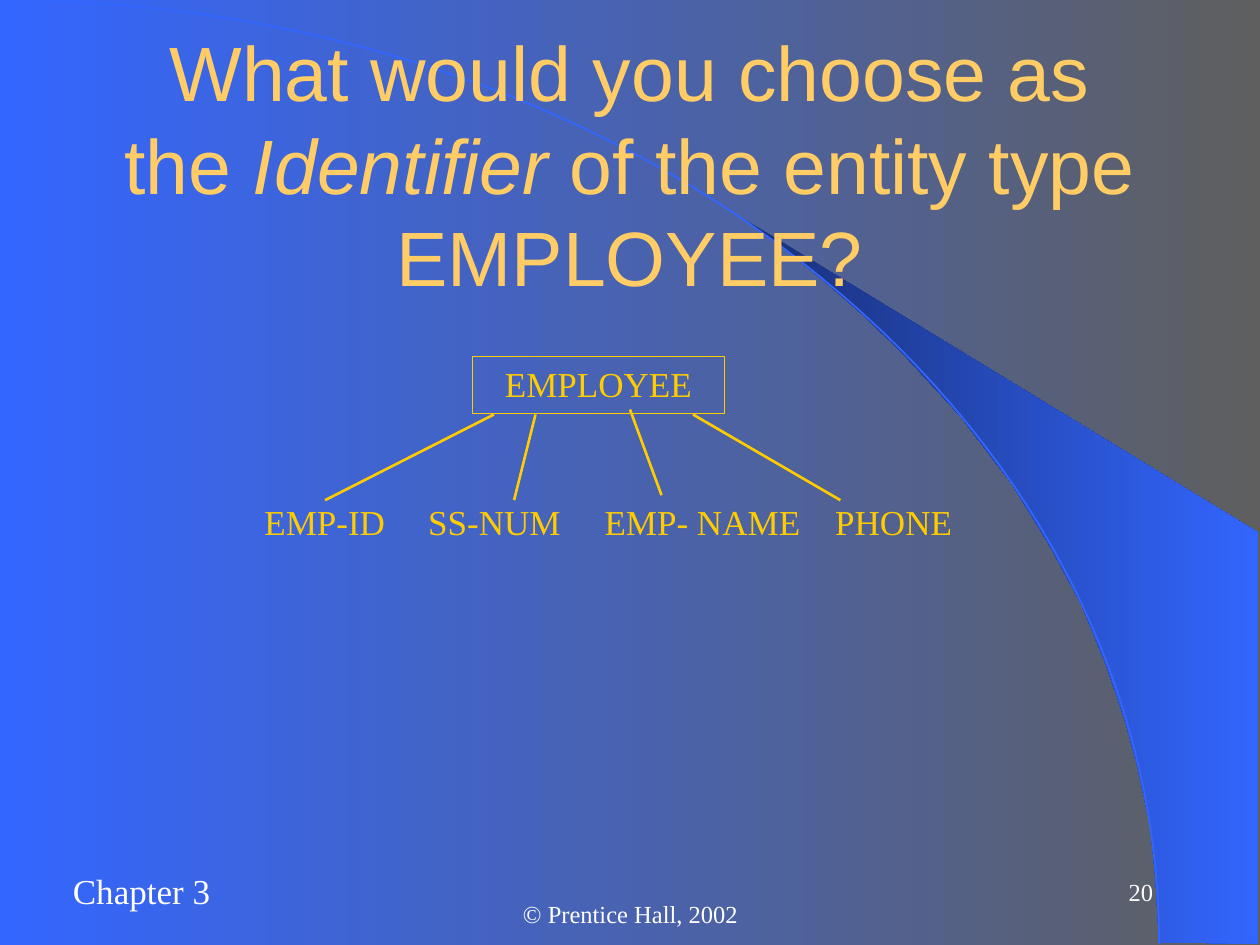
from dataclasses import dataclass

from lxml import etree
from pptx import Presentation
from pptx import util as u
from pptx.dml.color import RGBColor
from pptx.enum import shapes, text
from pptx.oxml.ns import qn


@dataclass(frozen=True)
class Theme:
    blue: str = "3366FF"
    navy: str = "182F76"
    gray: str = "5F5F5F"
    title: str = "FFCC66"
    gold: str = "FFCC00"
    white: str = "FFFFFF"
    heading_font: str = "Arial"
    body_font: str = "Times New Roman"
    title_size: int = 44
    body_size: int = 20
    footer_size: int = 14


class SlideBuilder:
    def __init__(self, slide, theme):
        self.slide = slide
        self.theme = theme

    def gradient(self, fill, start, end):
        fill.gradient()
        fill.gradient_angle = 0
        for stop, color, position in zip(fill.gradient_stops, (start, end), (0, 1)):
            stop.color.rgb = RGBColor.from_string(color)
            stop.position = position

    def outline(self, points, close):
        points = [(u.Inches(x), u.Inches(y)) for x, y in points]
        builder = self.slide.shapes.build_freeform(*points[0])
        builder.add_line_segments(points[1:], close=close)
        shape = builder.convert_to_shape()
        shape.shadow.inherit = False
        return shape

    def band(self, points, start, end):
        shape = self.outline(points, True)
        self.gradient(shape.fill, start, end)
        shape.line.fill.background()

    def curve(self, controls, color, steps=60):
        """Draw a cubic curve from its four control points."""
        points = []
        for step in range(steps + 1):
            t = step / steps
            weights = ((1 - t) ** 3, 3 * t * (1 - t) ** 2, 3 * t * t * (1 - t), t ** 3)
            points.append([sum(w * c[axis] for w, c in zip(weights, controls))
                           for axis in (0, 1)])
        shape = self.outline(points, False)
        shape.fill.background()
        self.stroke(shape.line, color, 1)

    def stroke(self, line, color, width):
        line.color.rgb = RGBColor.from_string(color)
        line.width = u.Pt(width)

    def add_text(self, shape, runs, size, color, font=None,
                 align=text.PP_ALIGN.LEFT, anchor=text.MSO_ANCHOR.TOP):
        """Fill a shape with one paragraph of (words, italic) runs."""
        frame = shape.text_frame
        frame.word_wrap = True
        frame.vertical_anchor = anchor
        paragraph = frame.paragraphs[0]
        paragraph.alignment = align
        for words, italic in runs:
            run = paragraph.add_run()
            run.text = words
            run.font.name = font or self.theme.body_font
            run.font.size = u.Pt(size)
            run.font.italic = italic
            run.font.color.rgb = RGBColor.from_string(color)

    def text_box(self, box, runs, size, color, **style):
        shape = self.slide.shapes.add_textbox(*map(u.Inches, box))
        self.add_text(shape, runs, size, color, **style)
        return shape

    def tabbed_row(self, box, labels, stops, size, color):
        shape = self.text_box(box, [], size, color)
        properties = shape.text_frame.paragraphs[0]._p.get_or_add_pPr()
        tabs = etree.SubElement(properties, qn("a:tabLst"))
        for stop in stops:
            etree.SubElement(tabs, qn("a:tab"), pos=str(u.Inches(stop)), algn="l")
        self.add_text(shape, [("\t".join(labels), False)], size, color)

    def entity(self, box, name):
        shape = self.slide.shapes.add_shape(
            shapes.MSO_SHAPE.RECTANGLE, *map(u.Inches, box))
        shape.shadow.inherit = False
        shape.fill.background()
        self.stroke(shape.line, self.theme.gold, 0.75)
        self.add_text(shape, [(name, False)], self.theme.body_size, self.theme.gold,
                      align=text.PP_ALIGN.CENTER)

    def line(self, start, end):
        connector = self.slide.shapes.add_connector(
            shapes.MSO_CONNECTOR.STRAIGHT, *map(u.Inches, (*start, *end)))
        self.stroke(connector.line, self.theme.gold, 1.5)
        etree.SubElement(connector._element.spPr, qn("a:effectLst"))


def main():
    presentation = Presentation()
    presentation.slide_width = u.Inches(10)
    presentation.slide_height = u.Inches(7.5)
    slide = presentation.slides.add_slide(presentation.slide_layouts[6])
    theme = Theme()
    builder = SlideBuilder(slide, theme)
    center, middle = text.PP_ALIGN.CENTER, text.MSO_ANCHOR.MIDDLE

    # Background with sweeping band and arc
    builder.gradient(slide.background.fill, theme.blue, theme.gray)
    builder.band([
        (9.2, 7.48), (9.99, 7.49), (9.99, 4.23), (5.89, 1.73), (6.24, 1.99),
        (6.53, 2.22), (6.85, 2.5), (7.16, 2.8), (7.62, 3.3), (8.03, 3.84),
        (8.32, 4.31), (8.58, 4.79), (8.78, 5.28), (8.93, 5.72), (9.03, 6.09),
        (9.13, 6.56), (9.17, 6.96),
    ], theme.navy, theme.blue)
    builder.curve([(0, 0), (5.08, 0), (9.2, 3.35), (9.2, 7.49)], theme.blue)

    # Footer
    chapter = builder.text_box((0.48, 6.85, 1.29, 0.44), [("Chapter 3", False)],
                               theme.body_size, theme.white)
    chapter.text_frame.word_wrap = False
    builder.text_box((3.42, 7, 3.17, 0.5), [("© Prentice Hall, 2002", False)],
                     theme.footer_size, theme.white, align=center, anchor=middle)
    builder.text_box((7.17, 6.83, 2.08, 0.5), [("20", False)], theme.footer_size,
                     theme.white, align=text.PP_ALIGN.RIGHT, anchor=middle)

    # Title
    builder.text_box(
        (0.75, 0.67, 8.5, 1.25),
        [("What would you choose as the ", False), ("Identifier", True),
         (" of the entity type EMPLOYEE?", False)],
        theme.title_size, theme.title, font=theme.heading_font,
        align=center, anchor=middle)

    # Entity and its attributes
    builder.entity((3.75, 2.83, 2, 0.45), "EMPLOYEE")
    for start, end in [((4.25, 3.29), (4.08, 3.97)), ((5, 3.25), (5.25, 3.93)),
                       ((5.5, 3.29), (6.67, 3.97)), ((3.92, 3.29), (2.58, 3.97))]:
        builder.line(start, end)
    builder.tabbed_row((2, 3.92, 5.75, 0.45),
                       ["EMP-ID", "SS-NUM", "EMP- NAME", "PHONE"],
                       [1.3, 2.7, 4.53], theme.body_size, theme.gold)

    presentation.save("out.pptx")


if __name__ == "__main__":
    main()
